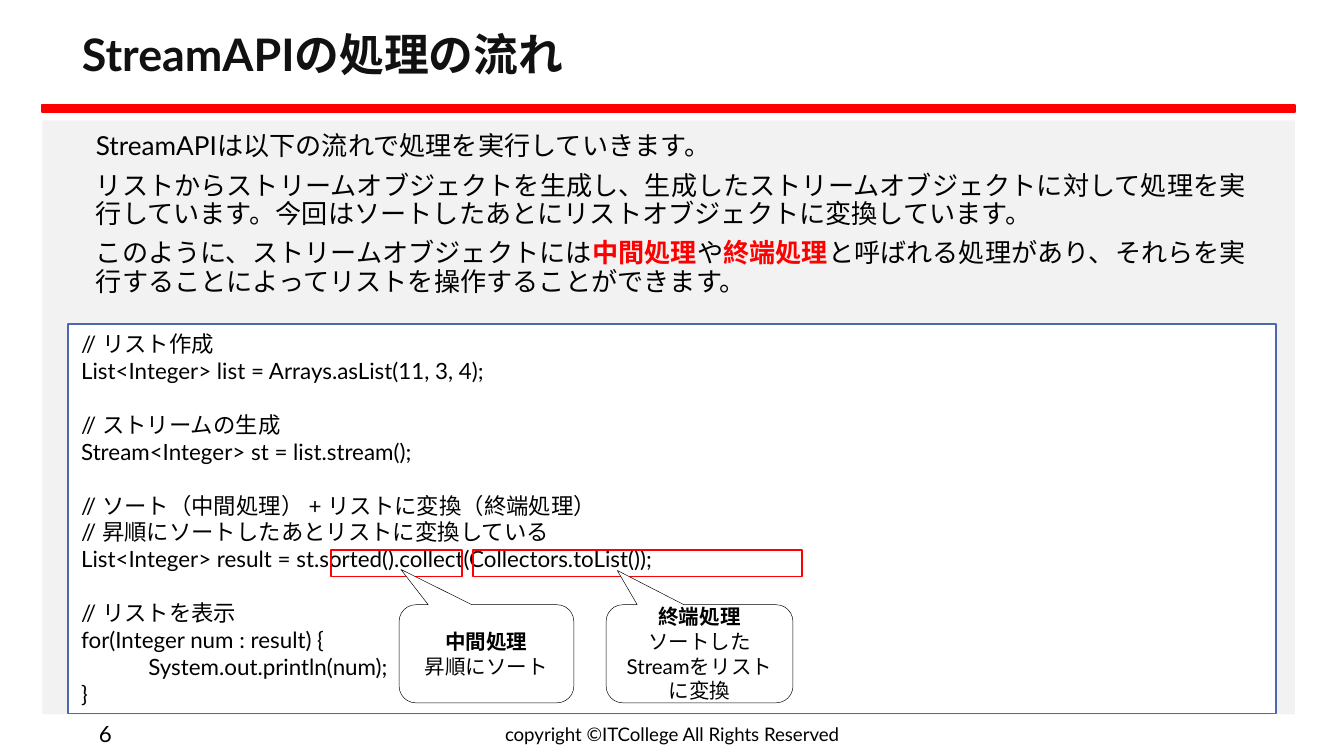
import pptx
import pptx.dml.color
import pptx.enum.shapes
import pptx.enum.text
import pptx.util

RGBColor = pptx.dml.color.RGBColor
BLACK = RGBColor(0x00, 0x00, 0x00)
INK = RGBColor(0x11, 0x11, 0x11)
WHITE = RGBColor(0xFF, 0xFF, 0xFF)
GREY = RGBColor(0xF2, 0xF2, 0xF2)
RED = RGBColor(0xFF, 0x00, 0x00)
BLUE = RGBColor(0x4D, 0x69, 0xAD)

Pt = pptx.util.Pt
Inches = pptx.util.Inches
Kind = pptx.enum.shapes.MSO_SHAPE
Align = pptx.enum.text.PP_ALIGN
Anchor = pptx.enum.text.MSO_ANCHOR

presentation = pptx.Presentation()
presentation.slide_width = Inches(10)
presentation.slide_height = Inches(10) * 9 // 16
column = presentation.slide_width / 100
row = presentation.slide_height / 56.25
slide = presentation.slides.add_slide(presentation.slide_layouts[5])


def add_shape(kind, cells, fill=None, line=None, weight=1):
    left, top, width, height = cells
    lengths = (left * column, top * row, width * column, height * row)
    shape = slide.shapes.add_shape(kind, *map(round, lengths))
    shape.shadow.inherit = False
    if fill is None:
        shape.fill.background()
    else:
        shape.fill.solid()
        shape.fill.fore_color.rgb = fill
    if line is None:
        shape.line.fill.background()
    else:
        shape.line.color.rgb = line
        shape.line.width = Pt(weight)
    return shape


def write(shape, paragraphs, size, anchor=Anchor.MIDDLE, color=BLACK, **formats):
    frame = shape.text_frame
    frame.word_wrap = True
    frame.vertical_anchor = anchor
    for index, runs in enumerate(paragraphs):
        paragraph = frame.paragraphs[0] if index == 0 else frame.add_paragraph()
        for name, value in formats.items():
            if index or name != "space_before":
                setattr(paragraph, name, value)
        for text, run_color, bold in runs:
            run = paragraph.add_run()
            run.text = text
            run.font.color.rgb = run_color or color
            for name, value in {"name": "Lato", "size": Pt(size), "bold": bold}.items():
                setattr(run.font, name, value)
    return frame


add_shape(Kind.RECTANGLE, (3.15, 8.95, 93.2, 44.2), GREY)
add_shape(Kind.RECTANGLE, (3.15, 7.8, 93.2, 0.55), RED, RED)

title = slide.shapes.title
title_box = {"left": 5.1 * column, "top": 1.3 * row, "width": 89.9 * column, "height": 5.9 * row}
for name, value in title_box.items():
    setattr(title, name, round(value))
write(title, [[("StreamAPIの処理の流れ", None, True)]], 24, color=INK,
      alignment=Align.LEFT, line_spacing=0.9)

code_groups = [
    ["// リスト作成", "List<Integer> list = Arrays.asList(11, 3, 4);"],
    ["// ストリームの生成", "Stream<Integer> st = list.stream();"],
    ["// ソート（中間処理） + リストに変換（終端処理）",
     "// 昇順にソートしたあとリストに変換している",
     "List<Integer> result = st.sorted().collect(Collectors.toList());"],
    ["// リストを表示", "for(Integer num : result) {", "\tSystem.out.println(num);", "}"],
]
code_box = add_shape(Kind.RECTANGLE, (5.05, 24.1, 89.9, 29), WHITE, BLUE)
code_lines = [[(line, None, False)] for group in code_groups for line in group]
code_frame = write(code_box, code_lines, 12, Anchor.TOP, alignment=Align.LEFT)
for paragraph in code_frame.paragraphs:
    paragraph._p.get_or_add_pPr().set("defTabSz", str(Inches(0.5)))
group_start = 0
for group in code_groups[:-1]:
    group_start += len(group)
    code_frame.paragraphs[group_start].space_before = Pt(14.4)

body = slide.shapes.add_textbox(*map(round, (5.05 * column, 9.4 * row, 89.9 * column, 42.9 * row)))
body_paragraphs = [
    [("StreamAPIは以下の流れで処理を実行していきます。", None, False)],
    [("リストからストリームオブジェクトを生成し、生成したストリームオブジェクトに対して処理を実行しています。"
      "今回はソートしたあとにリストオブジェクトに変換しています。", None, False)],
    [("このように、ストリームオブジェクトには", None, False),
     ("中間処理", RED, True),
     ("や", None, False),
     ("終端処理", RED, True),
     ("と呼ばれる処理があり、それらを実行することによってリストを操作することができます。", None, False)],
]
body_frame = write(body, body_paragraphs, 14, Anchor.TOP, line_spacing=0.9, space_before=Pt(6))
for paragraph in body_frame.paragraphs:
    paragraph._p.get_or_add_pPr().set("marL", str(Inches(0.11)))

footers = [
    (33.1, 33.8, "copyright ©ITCollege All Rights Reserved", 10, Align.CENTER),
    (2.4, 6.9, "6", 12, Align.RIGHT),
]
for left, width, text, size, alignment in footers:
    footer = slide.shapes.add_textbox(*map(round, (left * column, 53.2 * row, width * column, 2.8 * row)))
    write(footer, [[(text, None, False)]], size, alignment=alignment)

for left, width in ((24.6, 9.8), (35.2, 24.5)):
    add_shape(Kind.RECTANGLE, (left, 40.9, width, 2), line=RED)

callouts = [
    (29.7, 13, (-0.49, -0.86, 0.17), "中間処理", "昇順にソート"),
    (45.1, 13.9, (-0.44, -0.85, 0.17), "終端処理", "ソートしたStreamをリストに変換"),
]
for left, width, adjustments, heading, detail in callouts:
    callout = add_shape(Kind.ROUNDED_RECTANGULAR_CALLOUT, (left, 45, width, 7.3), WHITE, BLACK, 0.25)
    for index, value in enumerate(adjustments):
        callout.adjustments[index] = value
    write(callout, [[(heading, None, True)], [(detail, None, False)]], 11, alignment=Align.CENTER)

presentation.save("out.pptx")
